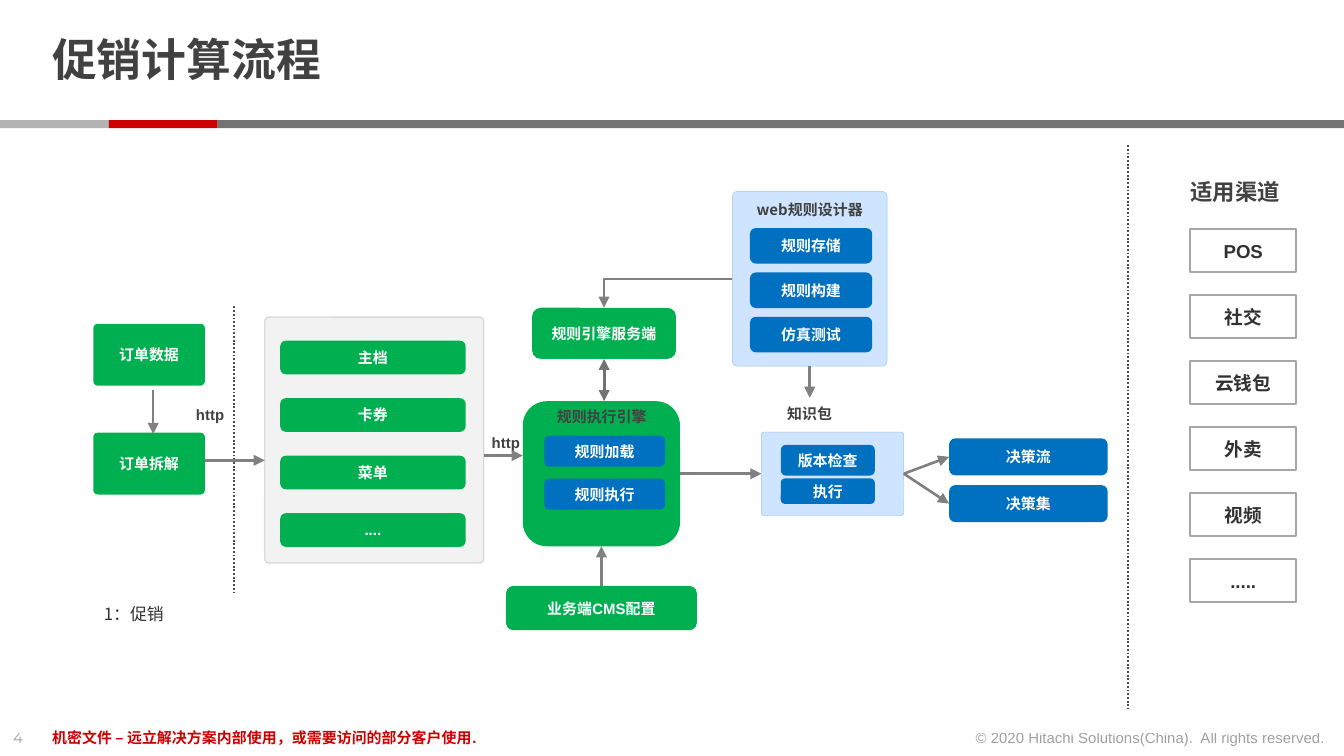
from dataclasses import dataclass
from typing import NamedTuple, Optional

from lxml import etree
from pptx import Presentation
from pptx.dml.color import RGBColor
from pptx.enum.dml import MSO_LINE
from pptx.enum.shapes import MSO_CONNECTOR, MSO_SHAPE
from pptx.enum.text import MSO_ANCHOR, PP_ALIGN
from pptx.oxml.ns import qn
from pptx.util import Inches, Pt

RECT, ROUND = MSO_SHAPE.RECTANGLE, MSO_SHAPE.ROUNDED_RECTANGLE
STRAIGHT, ELBOW = MSO_CONNECTOR.STRAIGHT, MSO_CONNECTOR.ELBOW
LEFT, CENTER, RIGHT = PP_ALIGN.LEFT, PP_ALIGN.CENTER, PP_ALIGN.RIGHT
TOP, MIDDLE = MSO_ANCHOR.TOP, MSO_ANCHOR.MIDDLE
DOTTED = MSO_LINE.ROUND_DOT
SIDE_TOP, SIDE_LEFT, SIDE_BOTTOM, SIDE_RIGHT = range(4)
COLUMNS, ROWS = 100, 56.25
CELL = Inches(0.1)


@dataclass(frozen=True)
class Theme:
    green: str = "00B050"
    blue: str = "0070C0"
    pale_blue: str = "B3D7FF"
    pale_blue_edge: str = "A3C4EA"
    pale_gray: str = "F2F2F2"
    pale_gray_edge: str = "D9D9D9"
    channel_edge: str = "A6A6A6"
    arrow: str = "808080"
    divider: str = "4C4C4C"
    bar_light: str = "B3B3B3"
    bar_dark: str = "737373"
    red: str = "CC0000"
    white: str = "FFFFFF"
    heading: str = "414141"
    ink: str = "313131"
    sans: str = "Arial"
    display: str = "Montserrat"
    chinese: str = "Noto Sans CJK SC"
    small: float = 8
    note: float = 9
    channel: float = 10
    section: float = 12
    title: float = 24


THEME = Theme()


class Area(NamedTuple):
    left: float
    top: float
    width: float
    height: float


class Spot(NamedTuple):
    column: float
    row: float


class Joint(NamedTuple):
    box: object
    side: int

    def spot(self) -> Spot:
        box, side = self
        across = {SIDE_LEFT: 0, SIDE_RIGHT: 1}.get(side, 0.5)
        down = {SIDE_TOP: 0, SIDE_BOTTOM: 1}.get(side, 0.5)
        return Spot((box.left + box.width * across) / CELL,
                    (box.top + box.height * down) / CELL)


@dataclass(frozen=True)
class Type:
    size: float = THEME.small
    color: str = THEME.heading
    font: str = THEME.sans
    bold: bool = True
    align: int = LEFT
    anchor: int = TOP
    spacing: Optional[float] = None


@dataclass(frozen=True)
class Look:
    fill: Optional[str] = None
    edge: Optional[str] = None
    edge_width: float = 0.75
    shape: int = ROUND
    corner: Optional[float] = None
    opacity: int = 100


LABEL = Type(color=THEME.white, align=CENTER, anchor=MIDDLE)
CAPTION = Type(font=THEME.chinese, align=CENTER)
CHANNEL_TYPE = Type(THEME.channel, THEME.ink, align=CENTER, anchor=MIDDLE)
GREEN, BLUE = Look(THEME.green), Look(THEME.blue)
ORDER = Look(THEME.green, corner=0.07)
PALE = Look(THEME.pale_blue, THEME.pale_blue_edge, 0.25, corner=0.03, opacity=63)
GRAY = Look(THEME.pale_gray, THEME.pale_gray_edge, corner=0.02)
CHANNEL = Look(edge=THEME.channel_edge, edge_width=1, shape=RECT)


def cells(values) -> list:
    return [round(value * CELL) for value in values]


def set_opacity(shape, percent: int) -> None:
    for color in shape.element.iter(qn("a:srgbClr")):
        etree.SubElement(color, qn("a:alpha")).set("val", str(percent * 1000))


def write(box, text: str, style: Type) -> None:
    frame = box.text_frame
    frame.word_wrap = True
    frame.vertical_anchor = style.anchor
    para = frame.paragraphs[0]
    para.alignment = style.align
    if style.spacing:
        para.line_spacing = style.spacing
    span = para.add_run()
    span.text = text
    span.font.size = Pt(style.size)
    span.font.bold = style.bold
    span.font.name = style.font
    span.font.color.rgb = RGBColor.from_string(style.color)
    east_asian = etree.SubElement(span.font._element, qn("a:ea"))
    east_asian.set("typeface", THEME.chinese)


def add_text(page, text: str, area: Area, style: Type, opacity: int = 100):
    box = page.shapes.add_textbox(*cells(area))
    write(box, text, style)
    if opacity < 100:
        set_opacity(box, opacity)
    return box


def add_box(page, area: Area, look: Look, text: str = "", style: Type = LABEL):
    box = page.shapes.add_shape(look.shape, *cells(area))
    box.shadow.inherit = False
    if look.corner is not None:
        box.adjustments[0] = look.corner
    if look.fill:
        box.fill.solid()
        box.fill.fore_color.rgb = RGBColor.from_string(look.fill)
    else:
        box.fill.background()
    if look.opacity < 100:
        set_opacity(box, look.opacity)
    if look.edge:
        box.line.color.rgb = RGBColor.from_string(look.edge)
        box.line.width = Pt(look.edge_width)
    else:
        box.line.fill.background()
    if text:
        write(box, text, style)
    return box


def add_stack(page, texts: list, first: Area, step: float, look: Look,
              style: Type = LABEL) -> list:
    return [add_box(page, first._replace(top=first.top + step * index), look, text, style)
            for index, text in enumerate(texts)]


def add_line(page, start, end, color: str = THEME.arrow, width: float = 1.4,
             kind: int = STRAIGHT):
    spots = [point.spot() if isinstance(point, Joint) else point for point in (start, end)]
    line = page.shapes.add_connector(kind, *cells(spots[0] + spots[1]))
    if isinstance(start, Joint):
        line.begin_connect(*start)
    if isinstance(end, Joint):
        line.end_connect(*end)
    line.line.color.rgb = RGBColor.from_string(color)
    line.line.width = Pt(width)
    if kind == ELBOW:
        line.element.spPr.find(qn("a:prstGeom")).set("prst", "bentConnector2")
    etree.SubElement(line.element.spPr, qn("a:effectLst"))
    return line


def add_arrow(page, start, end, kind: int = STRAIGHT) -> None:
    line = add_line(page, start, end, kind=kind)
    add_heads(line, ["a:tailEnd"])


def add_heads(line, tags: list) -> None:
    stroke = line.element.spPr.find(qn("a:ln"))
    for tag in tags:
        etree.SubElement(stroke, qn(tag)).set("type", "triangle")


def add_frame(page) -> None:
    for left, width, color in [(0, 8.1, THEME.bar_light), (8.1, 8.1, THEME.red),
                               (16.2, COLUMNS - 16.2, THEME.bar_dark)]:
        add_box(page, Area(left, 8.95, width, 0.6), Look(color, shape=RECT))
    add_text(page, "促销计算流程", Area(2.9, 1.05, 77.1, 7.3),
             Type(THEME.title, font=THEME.display, anchor=MIDDLE, spacing=0.85))
    add_text(page, "4", Area(0, 53.75, 3.4, 2.4),
             Type(font=THEME.display, bold=False), opacity=50)
    add_text(page, "机密文件 – 远立解决方案内部使用，或需要访问的部分客户使用.",
             Area(2.9, 53.75, 67.4, 2.4), Type(color=THEME.red))
    add_text(page, "© 2020 Hitachi Solutions(China).  All rights reserved.",
             Area(71.2, 53.75, 28.4, 2.4), Type(bold=False, align=RIGHT), opacity=50)
    for column, top, bottom in [(17.4, 22.8, 44.2), (83.9, 10.8, 52.7)]:
        line = add_line(page, Spot(column, top), Spot(column, bottom), THEME.divider, 1)
        line.line.dash_style = DOTTED


def add_flow(page) -> None:
    engine = add_box(page, Area(38.9, 29.85, 11.7, 10.8), GREEN)
    package = add_box(page, Area(56.65, 32.15, 10.6, 6.2), PALE)
    designer = add_box(page, Area(54.5, 14.25, 11.5, 13), PALE)
    add_box(page, Area(19.7, 23.6, 16.3, 18.3), GRAY)
    server = add_box(page, Area(39.6, 22.9, 10.7, 3.8), GREEN, "规则引擎服务端")
    settings = add_box(page, Area(37.65, 43.6, 14.2, 3.3), GREEN, "业务端CMS配置")
    add_stack(page, ["订单数据", "订单拆解"], Area(6.95, 24.1, 8.3, 4.6), 8.1, ORDER)
    add_stack(page, ["主档", "卡券", "菜单", "...."], Area(20.85, 25.35, 13.8, 2.5), 4.28, GREEN)
    add_stack(page, ["规则存储", "规则构建", "仿真测试"], Area(55.8, 16.97, 9.1, 2.65), 3.3, BLUE)
    add_stack(page, ["规则加载", "规则执行"], Area(40.5, 32.42, 9, 2.3), 3.2, BLUE)
    add_box(page, Area(58.1, 33.1, 7, 2.3), BLUE, "版本检查")
    add_box(page, Area(58.1, 35.6, 7, 1.9), BLUE, "执行")
    decisions = add_stack(page, ["决策流", "决策集"], Area(70.62, 32.62, 11.8, 2.75), 3.48, BLUE)

    add_text(page, "web规则设计器", Area(54.5, 14.45, 11.5, 2.3), CAPTION)
    knowledge = add_text(page, "知识包", Area(55.85, 29.6, 8.8, 2.3), CAPTION)
    add_text(page, "规则执行引擎", Area(40.45, 29.85, 9, 2.3), Type())
    add_text(page, "http", Area(13.6, 29.7, 5.1, 2.4), Type())
    add_text(page, "http", Area(35.6, 31.8, 5.1, 2.3), Type())
    add_text(page, "1：促销", Area(6.75, 44, 29.4, 3),
             Type(THEME.note, THEME.ink, THEME.chinese, False, spacing=1.3))

    add_arrow(page, Spot(11.4, 29), Spot(11.4, 32.3))
    add_arrow(page, Spot(15.25, 34.25), Spot(19.7, 34.25))
    add_arrow(page, Spot(36, 33.9), Spot(38.9, 33.9))
    add_arrow(page, Joint(designer, SIDE_LEFT), Joint(server, SIDE_TOP), ELBOW)
    exchange = add_line(page, Joint(server, SIDE_BOTTOM), Spot(44.95, 29.85),
                        THEME.bar_dark, 1.5)
    add_heads(exchange, ["a:headEnd", "a:tailEnd"])
    add_arrow(page, Joint(settings, SIDE_TOP), Joint(engine, SIDE_BOTTOM))
    add_arrow(page, Joint(engine, SIDE_RIGHT), Joint(package, SIDE_LEFT))
    add_arrow(page, Joint(designer, SIDE_BOTTOM), Joint(knowledge, SIDE_TOP))
    for decision in decisions:
        add_arrow(page, Joint(package, SIDE_RIGHT), Joint(decision, SIDE_LEFT))


def add_channels(page) -> None:
    add_text(page, "适用渠道", Area(87.35, 12.8, 9.1, 3),
             Type(THEME.section, font=THEME.chinese, align=CENTER))
    add_stack(page, ["POS", "社交", "云钱包", "外卖", "视频", "....."],
              Area(88.55, 17.05, 7.9, 3.2), 4.91, CHANNEL, CHANNEL_TYPE)


def main() -> None:
    deck = Presentation()
    deck.slide_width, deck.slide_height = cells((COLUMNS, ROWS))
    page = deck.slides.add_slide(deck.slide_layouts[6])
    add_frame(page)
    add_flow(page)
    add_channels(page)
    deck.save("out.pptx")


if __name__ == "__main__":
    main()
